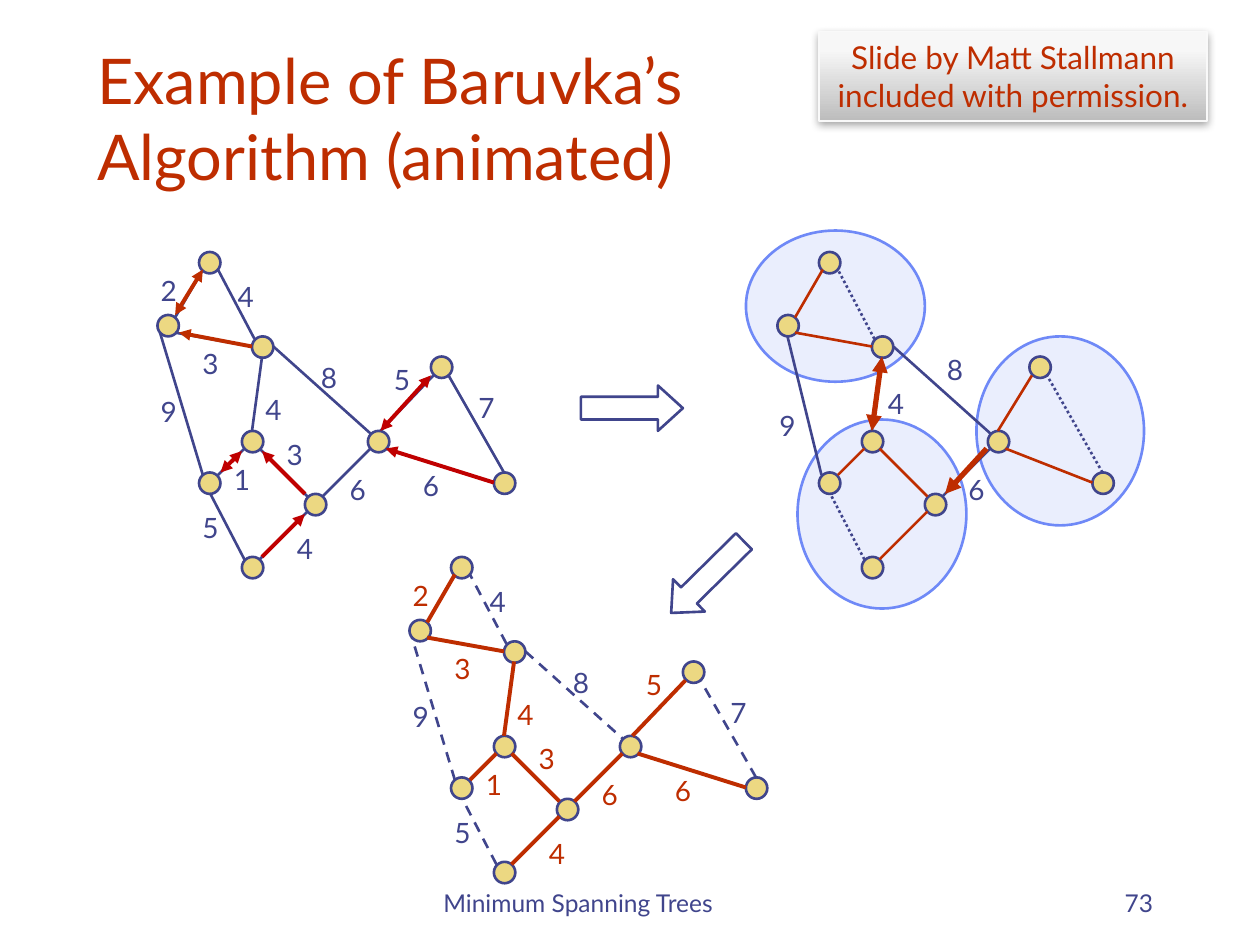
import pptx
import pptx.util
import pptx.dml.color
import pptx.enum.dml
import pptx.enum.shapes
import pptx.enum.text
import pptx.oxml.ns
import lxml.etree

Inches = pptx.util.Inches
Pt = pptx.util.Pt
RGB = pptx.dml.color.RGBColor.from_string
qn = pptx.oxml.ns.qn
SHAPE = pptx.enum.shapes.MSO_SHAPE
DASH = pptx.enum.dml.MSO_LINE
ALIGN = pptx.enum.text.PP_ALIGN
ANCHOR = pptx.enum.text.MSO_ANCHOR

COLORS = {
    "blue": "40458C", "red": "BE2D00", "dark_red": "C00000", "node": "ECD882",
    "cluster": "6F89F7", "credit_edge": "F9F9F9", "credit_dark": "BDBDBD", "credit_light": "F7F7F7",
}
FONT = "Lato"
NODE_SIZE = 0.17

NODES = {
    "a": (1.58, 2), "b": (1.25, 2.5), "c": (2, 2.67), "d": (1.92, 3.42), "e": (1.58, 3.75),
    "f": (2.42, 3.92), "g": (1.92, 4.42), "h": (2.92, 3.42), "i": (3.42, 2.83), "j": (3.92, 3.75),
}
EDGES = {
    "ab": ((1.39, 2.52), (1.61, 2.14)), "ac": ((2.02, 2.69), (1.73, 2.14)),
    "bc": ((2, 2.75), (1.39, 2.64)), "cd": ((2, 3.42), (2.08, 2.83)),
    "be": ((1.61, 3.77), (1.27, 2.64)), "de": ((1.73, 3.77), (1.94, 3.56)),
    "fg": ((2.06, 4.44), (2.44, 4.06)), "eg": ((1.94, 4.44), (1.67, 3.92)),
    "df": ((2.44, 3.94), (2.06, 3.56)), "hi": ((3.02, 3.42), (3.44, 2.98)),
    "ij": ((4, 3.75), (3.56, 2.98)), "hj": ((3.92, 3.83), (3.06, 3.56)),
    "fh": ((2.56, 3.94), (2.94, 3.56)), "ch": ((2.17, 2.75), (2.94, 3.44)),
}
WEIGHTS = {
    "de": ("1", 1.75, 3.62), "eg": ("5", 1.5, 4), "fg": ("4", 2.25, 4.17), "df": ("3", 2.17, 3.42),
    "ab": ("2", 1.17, 2.12), "bc": ("3", 1.5, 2.7), "ac": ("4", 1.78, 2.17), "cd": ("4", 2, 3.07),
    "be": ("9", 1.17, 3.08), "fh": ("6", 2.67, 3.7), "ch": ("8", 2.44, 2.81), "ij": ("7", 3.69, 3.05),
    "hj": ("6", 3.25, 3.67), "hi": ("5", 3.02, 2.83),
}
MERGED_WEIGHTS = {
    "cd": ("4", 2.02, 3.02), "be": ("9", 1.16, 3.19), "fh": ("6", 2.66, 3.7), "ch": ("8", 2.49, 2.75),
}
MERGED_NODES = NODES | {"i": (3.25, 2.83), "j": (3.75, 3.75)}
MERGED_EDGES = EDGES | {
    "be": ((1.6, 3.77), (1.33, 2.67)), "hi": ((3, 3.42), (3.27, 2.98)),
    "ij": ((3.83, 3.75), (3.39, 2.98)), "hj": ((3.75, 3.83), (3.06, 3.56)),
}
FRAGMENTS = ["ab", "bc", "de", "fg", "df", "hi", "hj"]
OUTSIDE_FRAGMENTS = ["ac", "eg", "ij"]

GRAPHS = [
    {"offset": (0, 0), "nodes": NODES, "edges": EDGES, "weights": WEIGHTS,
     "tree": [], "tree_width": 1.5, "dashed": [], "dash": None, "clusters": [],
     "arrows": [
         ((1.39, 2.5), (1.61, 2.14), "red", 2.25, True),
         ((3.02, 3.42), (3.42, 2.98), "dark_red", 2.25, True),
         ((2.42, 3.92), (2.08, 3.58), "dark_red", 2.25, False),
         ((2, 2.75), (1.42, 2.64), "red", 2.25, False),
         ((3.92, 3.83), (3.06, 3.56), "dark_red", 2.25, False),
         ((2.08, 4.42), (2.42, 4.08), "dark_red", 2.25, False),
         ((1.75, 3.75), (1.92, 3.58), "dark_red", 2.25, True)]},
    {"offset": (4.92, 0), "nodes": MERGED_NODES, "edges": MERGED_EDGES, "weights": MERGED_WEIGHTS,
     "tree": FRAGMENTS, "tree_width": 1.5, "dashed": OUTSIDE_FRAGMENTS, "dash": DASH.ROUND_DOT,
     "clusters": [(6.33, 3.33, 1.34, 1.5), (7.75, 2.67, 1.33, 1.5), (5.92, 1.83, 1.42, 1.2)],
     "arrows": [
         ((6.92, 3.42), (7, 2.83), "red", 3, True),
         ((7.83, 3.56), (7.5, 3.92), "red", 3, False)]},
    {"offset": (2, 2.42), "nodes": NODES, "edges": EDGES, "weights": WEIGHTS,
     "tree": FRAGMENTS + ["cd", "fh"], "tree_width": 2.25,
     "dashed": OUTSIDE_FRAGMENTS + ["be", "ch"], "dash": DASH.DASH, "clusters": [], "arrows": []},
]


def add_line(shapes, start, end, color, width, dash=None, ends=()):
    connector = shapes.add_connector(
        pptx.enum.shapes.MSO_CONNECTOR.STRAIGHT,
        Inches(start[0]), Inches(start[1]), Inches(end[0]), Inches(end[1]))
    connector.line.color.rgb = RGB(COLORS[color])
    connector.line.width = Pt(width)
    if dash is not None:
        connector.line.dash_style = dash
    properties = connector._element.spPr
    for end_name in ends:
        lxml.etree.SubElement(properties.find(qn("a:ln")), qn(end_name), type="triangle")
    lxml.etree.SubElement(properties, qn("a:effectLst"))


def add_text(shapes, text, left, top, width, height, size, color, align, anchor, wrap):
    box = shapes.add_textbox(Inches(left), Inches(top), Inches(width), Inches(height))
    box.text_frame.word_wrap = wrap
    box.text_frame.vertical_anchor = anchor
    box.text_frame.text = text
    paragraph = box.text_frame.paragraphs[0]
    paragraph.alignment = align
    font = paragraph.runs[0].font
    font.name, font.size, font.color.rgb = FONT, Pt(size), RGB(COLORS[color])


presentation = pptx.Presentation()
presentation.slide_width = Inches(10)
presentation.slide_height = Inches(7.5)
slide = presentation.slides.add_slide(presentation.slide_layouts[5])

title = slide.shapes.title
title.left, title.top, title.width, title.height = Inches(0.67), Inches(0.33), Inches(8.5), Inches(1.25)
title.text_frame.text = "Example of Baruvka’s \vAlgorithm (animated)"
title.text_frame.vertical_anchor = ANCHOR.BOTTOM
title.text_frame.paragraphs[0].alignment = ALIGN.LEFT
for run in title.text_frame.paragraphs[0].runs:
    run.font.name, run.font.size, run.font.color.rgb = FONT, Pt(36), RGB(COLORS["red"])

add_text(slide.shapes, "Minimum Spanning Trees", 3.42, 6.83, 3.17, 0.5, 14, "blue", ALIGN.LEFT, ANCHOR.BOTTOM, True)
add_text(slide.shapes, "73", 7.17, 6.83, 2.08, 0.5, 14, "blue", ALIGN.RIGHT, ANCHOR.BOTTOM, True)

for graph in GRAPHS:
    shapes = slide.shapes.add_group_shape().shapes
    dx, dy = graph["offset"]
    ovals = [(*cluster, "cluster", "cluster") for cluster in graph["clusters"]]
    ovals += [(x + dx, y + dy, NODE_SIZE, NODE_SIZE, "node", "blue") for x, y in graph["nodes"].values()]
    for left, top, width, height, fill, outline in ovals:
        oval = shapes.add_shape(SHAPE.OVAL, Inches(left), Inches(top), Inches(width), Inches(height))
        oval.shadow.inherit = False
        oval.fill.solid()
        oval.fill.fore_color.rgb = RGB(COLORS[fill])
        oval.line.color.rgb = RGB(COLORS[outline])
        oval.line.width = Pt(1.5)
        if fill == "cluster":
            fill_color = oval._element.spPr.find(qn("a:solidFill")).find(qn("a:srgbClr"))
            lxml.etree.SubElement(fill_color, qn("a:alpha"), val="14000")
    for edge, (start, end) in graph["edges"].items():
        in_tree = edge in graph["tree"]
        add_line(shapes, (start[0] + dx, start[1] + dy), (end[0] + dx, end[1] + dy),
                 "red" if in_tree else "blue", graph["tree_width"] if in_tree else 1.5,
                 graph["dash"] if edge in graph["dashed"] else None)
    for edge, (weight, left, top) in graph["weights"].items():
        color = "red" if edge in graph["tree"] else "blue"
        add_text(shapes, weight, left + dx, top + dy, 0.34, 0.37, 16, color, ALIGN.CENTER, ANCHOR.TOP, False)
    for start, end, color, width, both_ends in graph["arrows"]:
        ends = ("a:headEnd", "a:tailEnd") if both_ends else ("a:tailEnd",)
        add_line(slide.shapes, start, end, color, width, ends=ends)

credit = slide.shapes.add_shape(SHAPE.RECTANGLE, Inches(6.5), Inches(0.25), Inches(3.08), Inches(0.71))
credit.fill.gradient()
credit.fill.gradient_angle = 90
for stop, position, color in zip(credit.fill.gradient_stops, (0, 0.8), ("credit_dark", "credit_light")):
    stop.position = position
    stop.color.rgb = RGB(COLORS[color])
credit.line.color.rgb = RGB(COLORS["credit_edge"])
credit.line.width = Pt(0.75)
credit.shadow.inherit = False
shadow = lxml.etree.SubElement(
    credit._element.spPr.find(qn("a:effectLst")), qn("a:outerShdw"),
    blurRad=str(Pt(5)), dist=str(Pt(1.8)), dir="5400000", rotWithShape="0")
shadow_color = lxml.etree.SubElement(shadow, qn("a:srgbClr"), val="000000")
lxml.etree.SubElement(shadow_color, qn("a:alpha"), val="35000")
credit.text_frame.word_wrap = True
credit.text_frame.text = "Slide by Matt Stallmann included with permission."
credit.text_frame.paragraphs[0].alignment = ALIGN.CENTER
credit_font = credit.text_frame.paragraphs[0].runs[0].font
credit_font.name, credit_font.size, credit_font.color.rgb = FONT, Pt(18), RGB(COLORS["red"])

for left, top, rotation in [(5.21, 4.4, 135.4), (4.61, 3.06, 0)]:
    arrow = slide.shapes.add_shape(SHAPE.RIGHT_ARROW, Inches(left), Inches(top), Inches(0.81), Inches(0.36))
    arrow.adjustments[1] = 0.55
    arrow.rotation = rotation
    arrow.shadow.inherit = False
    arrow.fill.background()
    arrow.line.color.rgb = RGB(COLORS["blue"])
    arrow.line.width = Pt(1.5)

presentation.save("out.pptx")
